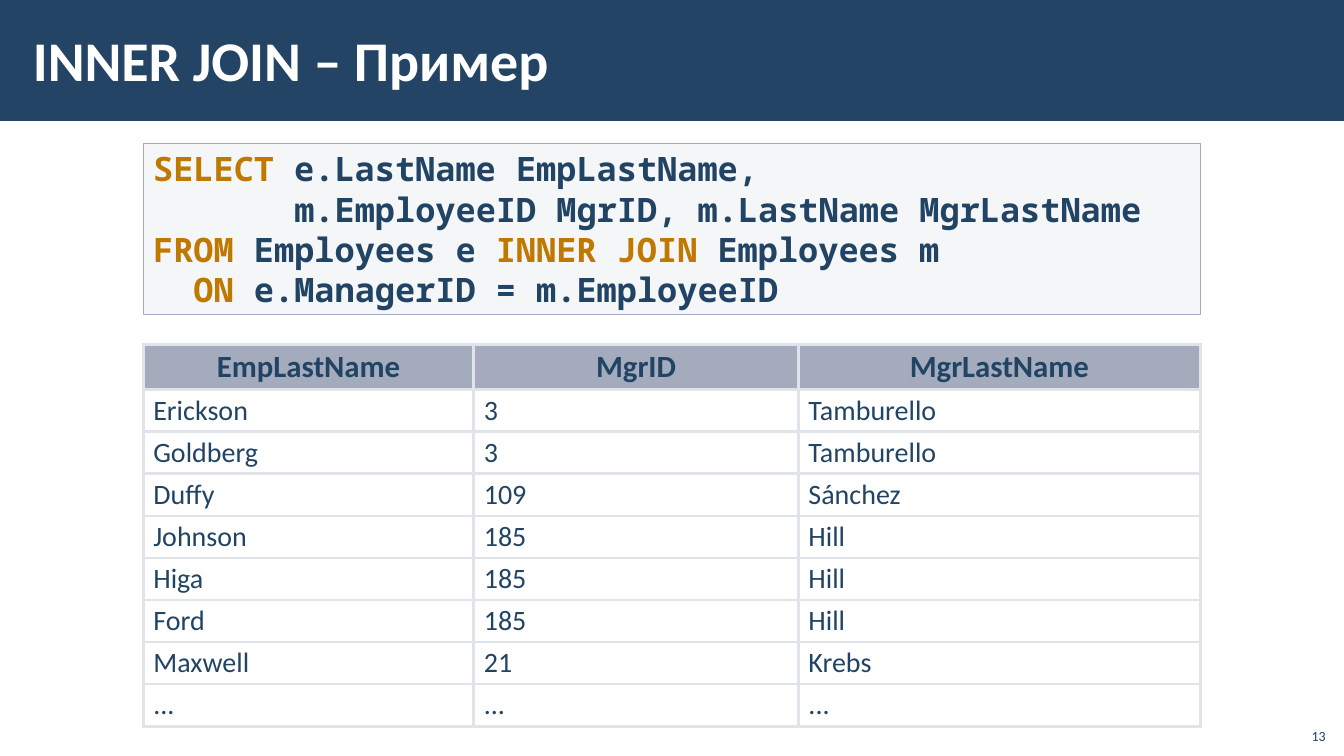
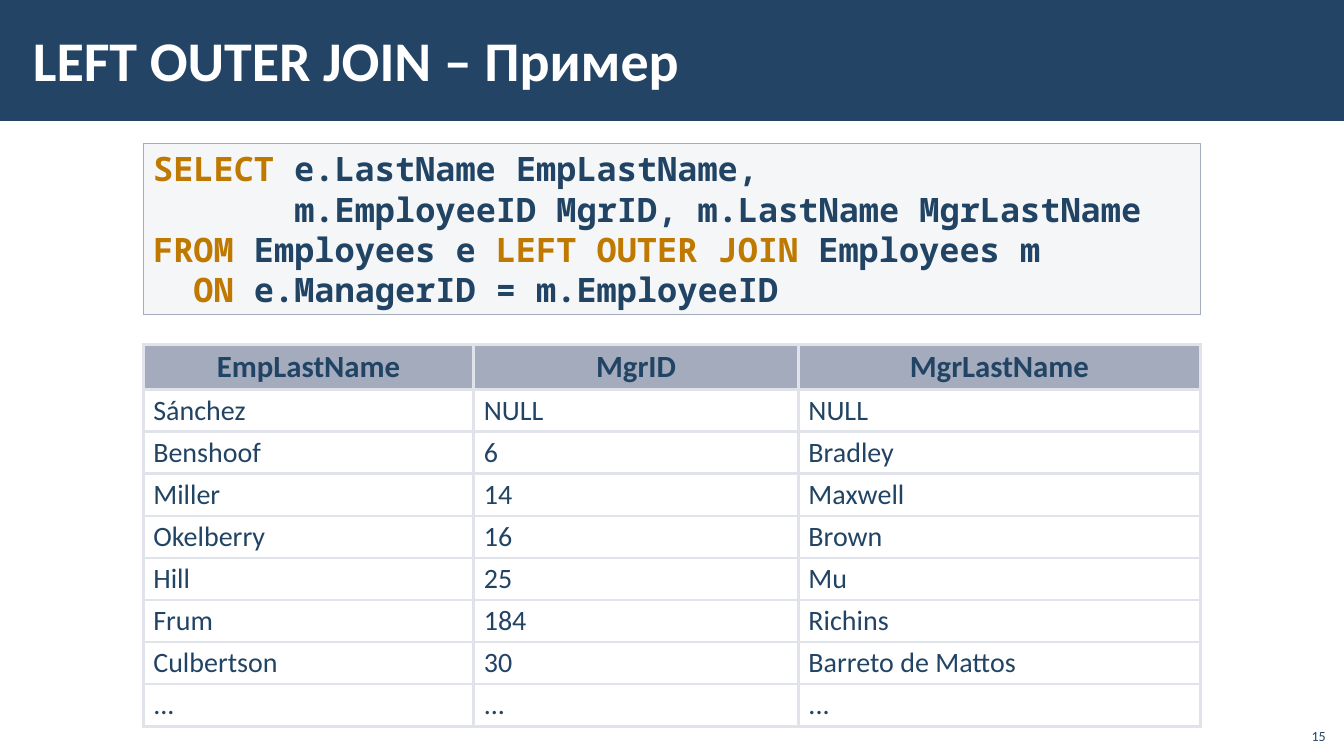
from dataclasses import dataclass

from lxml.etree import SubElement
from pptx import Presentation
from pptx.dml.color import RGBColor
from pptx.enum.shapes import MSO_SHAPE
from pptx.enum.text import MSO_ANCHOR, PP_ALIGN
from pptx.oxml import parse_xml
from pptx.oxml.ns import nsdecls, qn
from pptx.shapes.autoshape import Shape
from pptx.slide import Slide
from pptx.table import _Cell
from pptx.util import Cm, Pt

NAVY = "234465"
TEXT = "224464"
KEYWORD = "BF7800"
WHITE = "FFFFFF"
CODE_FILL = "C2C7D2"
GREY_BLUE = "A3ABBC"
TABLE_BORDER = "E0E3E9"

TEXT_FONT = "Calibri"
CODE_FONT = "Noto Sans Mono"

SLIDE_WIDTH, SLIDE_HEIGHT = 33.87, 19.05
CONTENT_LEFT = 3.61
COLUMN_WIDTHS = (8.33, 8.18, 10.13)
HEADER_HEIGHT, ROW_HEIGHT = 1.13, 1.06
HEADERS = ("EmpLastName", "MgrID", "MgrLastName")
ELLIPSIS_ROW = ("...",) * len(HEADERS)


@dataclass(frozen=True)
class JoinExample:
    join: str
    number: int
    rows: tuple[tuple[str, str, str], ...]


EXAMPLES = (
    JoinExample("INNER JOIN", 13, (
        ("Erickson", "3", "Tamburello"),
        ("Goldberg", "3", "Tamburello"),
        ("Duffy", "109", "Sánchez"),
        ("Johnson", "185", "Hill"),
        ("Higa", "185", "Hill"),
        ("Ford", "185", "Hill"),
        ("Maxwell", "21", "Krebs"),
    )),
    JoinExample("LEFT OUTER JOIN", 15, (
        ("Sánchez", "NULL", "NULL"),
        ("Benshoof", "6", "Bradley"),
        ("Miller", "14", "Maxwell"),
        ("Okelberry", "16", "Brown"),
        ("Hill", "25", "Mu"),
        ("Frum", "184", "Richins"),
        ("Culbertson", "30", "Barreto de Mattos"),
    )),
)


def color(value: str) -> RGBColor:
    return RGBColor.from_string(value)


def add_run(paragraph, text: str, size: float, hex_color: str,
            bold: bool = False, font: str = TEXT_FONT) -> None:
    run = paragraph.add_run()
    run.text = text
    run.font.name = font
    run.font.size = Pt(size)
    run.font.bold = bold
    run.font.color.rgb = color(hex_color)


def add_rectangle(slide: Slide, left: float, top: float, width: float,
                  height: float, fill: str) -> Shape:
    shape = slide.shapes.add_shape(
        MSO_SHAPE.RECTANGLE, Cm(left), Cm(top), Cm(width), Cm(height))
    shape.shadow.inherit = False
    shape.fill.solid()
    shape.fill.fore_color.rgb = color(fill)
    shape.line.fill.background()
    return shape


def add_frame(slide: Slide, title: str, number: int) -> None:
    """Draw the title band, the title and the slide number."""
    add_rectangle(slide, 0, 0, SLIDE_WIDTH, 3.05, NAVY)

    title_frame = slide.shapes.add_textbox(
        Cm(0.53), Cm(0.28), Cm(28.52), Cm(2.44)).text_frame
    title_frame.word_wrap = True
    title_frame.vertical_anchor = MSO_ANCHOR.MIDDLE
    title_frame.margin_left = title_frame.margin_right = Cm(0.3)
    title_frame.margin_top = title_frame.margin_bottom = Cm(0.1)
    add_run(title_frame.paragraphs[0], title, 40, WHITE, bold=True)

    number_frame = slide.shapes.add_textbox(
        Cm(32.64), Cm(18.08), Cm(1.02), Cm(0.81)).text_frame
    number_frame.word_wrap = True
    number_frame.vertical_anchor = MSO_ANCHOR.BOTTOM
    paragraph = number_frame.paragraphs[0]
    paragraph.alignment = PP_ALIGN.RIGHT
    add_run(paragraph, str(number), 10, NAVY)


def query_lines(join: str) -> tuple[tuple[tuple[str, str], ...], ...]:
    """Return the lines of the query as runs of text and colour."""
    return (
        (("SELECT", KEYWORD), (" e.LastName EmpLastName,", TEXT)),
        (("       m.EmployeeID MgrID, m.LastName MgrLastName", TEXT),),
        (("FROM", KEYWORD), (" Employees e ", TEXT),
         (join, KEYWORD), (" Employees m", TEXT)),
        (("  ON", KEYWORD), (" e.ManagerID = m.EmployeeID", TEXT)),
    )


def add_query(slide: Slide, join: str) -> None:
    box = add_rectangle(slide, CONTENT_LEFT, 3.61, sum(COLUMN_WIDTHS), 4.32,
                        CODE_FILL)
    fill_color = box.fill._xPr.find(qn("a:solidFill"))[0]
    SubElement(fill_color, qn("a:alpha"), val="15000")
    box.line.color.rgb = color(GREY_BLUE)
    box.line.width = Pt(1)

    frame = box.text_frame
    frame.word_wrap = True
    frame.vertical_anchor = MSO_ANCHOR.TOP
    for index, line in enumerate(query_lines(join)):
        paragraph = frame.add_paragraph() if index else frame.paragraphs[0]
        paragraph.alignment = PP_ALIGN.LEFT
        paragraph.line_spacing = Pt(28.8)
        for text, hex_color in line:
            add_run(paragraph, text, 24, hex_color, bold=True, font=CODE_FONT)


def set_borders(cell: _Cell) -> None:
    properties = cell._tc.get_or_add_tcPr()
    for index, side in enumerate("LRTB"):
        properties.insert(index, parse_xml(
            f'<a:ln{side} {nsdecls("a")} w="{Pt(2.21)}"><a:solidFill>'
            f'<a:srgbClr val="{TABLE_BORDER}"/></a:solidFill></a:ln{side}>'))


def fill_cell(cell: _Cell, text: str, is_header: bool) -> None:
    cell.vertical_anchor = MSO_ANCHOR.MIDDLE
    cell.margin_top = cell.margin_bottom = Cm(0.1)
    paragraph = cell.text_frame.paragraphs[0]
    paragraph.line_spacing = 0.95
    if is_header:
        paragraph.alignment = PP_ALIGN.CENTER
        cell.fill.solid()
        cell.fill.fore_color.rgb = color(GREY_BLUE)
    else:
        cell.fill.background()
    add_run(paragraph, text, 22 if is_header else 20, TEXT, bold=is_header)
    set_borders(cell)


def add_result(slide: Slide, rows: tuple[tuple[str, str, str], ...]) -> None:
    lines = (HEADERS, *rows, ELLIPSIS_ROW)
    height = HEADER_HEIGHT + ROW_HEIGHT * (len(lines) - 1)
    table = slide.shapes.add_table(
        len(lines), len(HEADERS), Cm(CONTENT_LEFT), Cm(8.69),
        Cm(sum(COLUMN_WIDTHS)), Cm(height)).table
    table.first_row = True
    table.horz_banding = False
    for column, width in zip(table.columns, COLUMN_WIDTHS):
        column.width = Cm(width)
    for row_index, line in enumerate(lines):
        is_header = row_index == 0
        table.rows[row_index].height = Cm(
            HEADER_HEIGHT if is_header else ROW_HEIGHT)
        for column_index, text in enumerate(line):
            fill_cell(table.cell(row_index, column_index), text, is_header)


def main() -> None:
    presentation = Presentation()
    presentation.slide_width = Cm(SLIDE_WIDTH)
    presentation.slide_height = Cm(SLIDE_HEIGHT)
    blank_layout = presentation.slide_layouts[6]
    for example in EXAMPLES:
        slide = presentation.slides.add_slide(blank_layout)
        add_frame(slide, f"{example.join} – Пример", example.number)
        add_query(slide, example.join)
        add_result(slide, example.rows)
    presentation.save("out.pptx")


if __name__ == "__main__":
    main()
